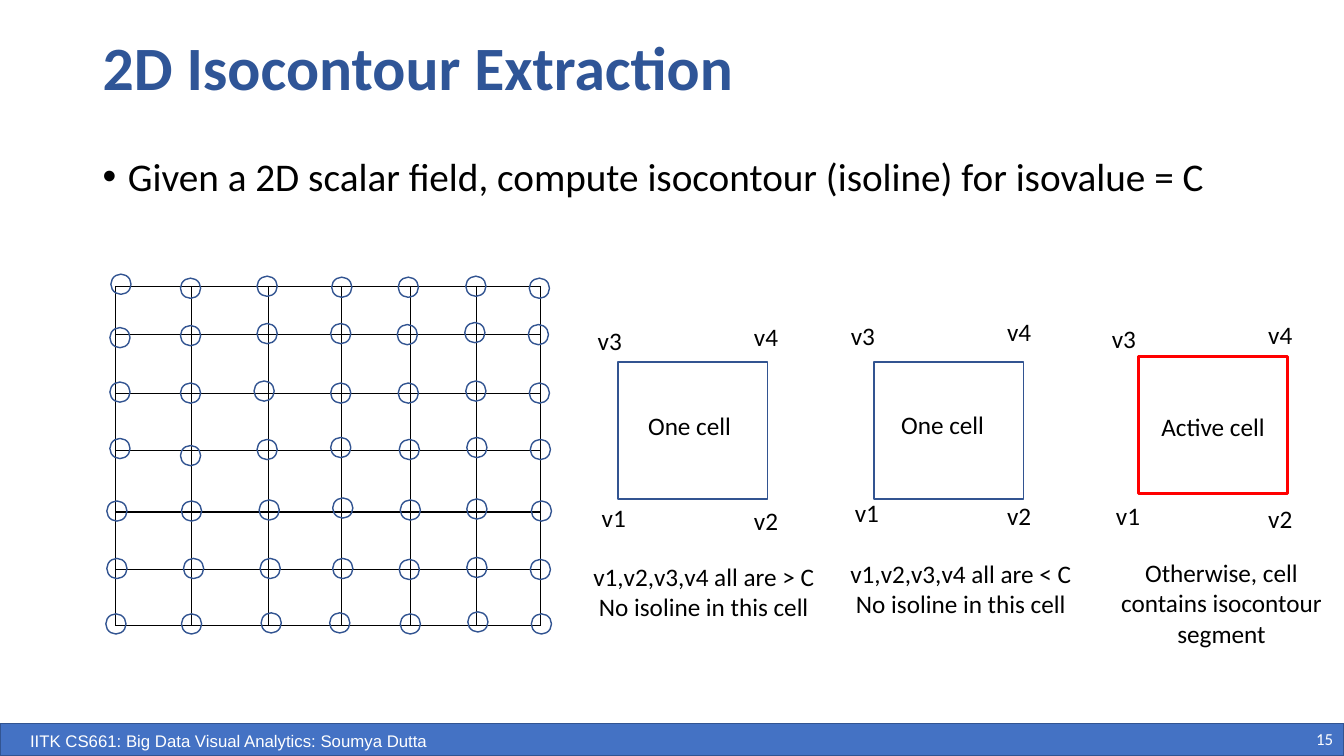
from lxml import etree
from pptx import Presentation
from pptx.dml.color import RGBColor
from pptx.enum.shapes import MSO_SHAPE
from pptx.enum.text import MSO_ANCHOR, MSO_AUTO_SIZE, PP_ALIGN
from pptx.oxml.ns import qn
from pptx.util import Inches, Pt

OVAL, RECTANGLE = MSO_SHAPE.OVAL, MSO_SHAPE.RECTANGLE
LEFT, CENTER, RIGHT = PP_ALIGN.LEFT, PP_ALIGN.CENTER, PP_ALIGN.RIGHT
TOP, MIDDLE = MSO_ANCHOR.TOP, MSO_ANCHOR.MIDDLE
FIT_SHAPE, FIT_NONE = MSO_AUTO_SIZE.SHAPE_TO_FIT_TEXT, MSO_AUTO_SIZE.NONE

COLORS = {
    "black": "000000",
    "white": "FFFFFF",
    "title": "2F5597",
    "bar": "4472C4",
    "outline": "325491",
    "active": "FF0000",
}

GRID_COLUMNS = [0.75, 0.76, 0.73, 0.68, 0.66, 0.63]
GRID_ROWS = [0.48, 0.58, 0.57, 0.61, 0.57, 0.56]
NODE_SIZE = 0.2
NODE_ROWS = [
    [(1.1, 2.72), (1.79, 2.76), (2.55, 2.74), (3.29, 2.75), (3.95, 2.75), (4.62, 2.74), (5.25, 2.76)],
    [(1.09, 3.25), (1.79, 3.23), (2.55, 3.21), (3.28, 3.21), (3.94, 3.22), (4.61, 3.2), (5.24, 3.22)],
    [(1.09, 3.79), (1.79, 3.8), (2.52, 3.78), (3.28, 3.8), (3.95, 3.8), (4.62, 3.78), (5.25, 3.8)],
    [(1.09, 4.35), (1.79, 4.42), (2.55, 4.36), (3.28, 4.34), (3.96, 4.36), (4.63, 4.34), (5.26, 4.36)],
    [(1.06, 4.97), (1.8, 4.97), (2.57, 4.96), (3.3, 4.94), (3.97, 4.96), (4.63, 4.95), (5.27, 4.97)],
    [(1.06, 5.54), (1.82, 5.54), (2.58, 5.54), (3.3, 5.54), (3.96, 5.55), (4.63, 5.53), (5.26, 5.55)],
    [(1.05, 6.09), (1.8, 6.09), (2.59, 6.08), (3.27, 6.08), (3.97, 6.09), (4.64, 6.07), (5.27, 6.09)],
]

VERTEX_LABELS = {"v1": (5.87, 4.93), "v2": (7.38, 4.96), "v3": (5.83, 3.18), "v4": (7.38, 3.14)}
CELL_CASES = [
    {
        "square": (6.13, 3.59), "color": "outline", "width": 1, "label_shift": (0, 0),
        "name": "One cell", "name_box": (6.33, 4.02, 1.03, 0.4),
        "note": "v1,v2,v3,v4 all are > C\nNo isoline in this cell",
        "note_box": (5.77, 5.52, 2.42, 0.71), "wrap": False,
    },
    {
        "square": (8.67, 3.59), "color": "outline", "width": 1, "label_shift": (2.51, -0.05),
        "name": "One cell", "name_box": (8.84, 4.01, 1.03, 0.4),
        "note": "v1,v2,v3,v4 all are < C\nNo isoline in this cell",
        "note_box": (8.32, 5.49, 2.42, 0.71), "wrap": False,
    },
    {
        "square": (11.29, 3.54), "color": "active", "width": 2, "label_shift": (5.1, -0.02),
        "name": "Active cell", "name_box": (11.42, 4.03, 1.24, 0.4),
        "note": "Otherwise, cell contains isocontour\nsegment",
        "note_box": (10.89, 5.48, 2.45, 1.01), "wrap": True,
    },
]


class SlideBuilder:
    """Draw styled elements on one slide."""

    def __init__(self, slide, font="Calibri"):
        self.slide = slide
        self.font = font

    def color(self, name):
        return RGBColor.from_string(COLORS[name])

    def shape(self, kind, box, line, width=1, fill=None):
        shape = self.slide.shapes.add_shape(kind, *map(Inches, box))
        shape.shadow.inherit = False
        if fill:
            shape.fill.solid()
            shape.fill.fore_color.rgb = self.color(fill)
        else:
            shape.fill.background()
        shape.line.color.rgb = self.color(line)
        shape.line.width = Pt(width)

    def text(self, box, text, size=18, color="black", align=LEFT, anchor=TOP,
             wrap=True, fit=FIT_NONE, font=None, bold=False, spacing=1.0, bullet=False):
        shape = self.slide.shapes.add_textbox(*map(Inches, box))
        frame = shape.text_frame
        frame.text = text
        frame.word_wrap = wrap
        frame.auto_size = fit
        frame.vertical_anchor = anchor
        for paragraph in frame.paragraphs:
            paragraph.alignment = align
            paragraph.line_spacing = spacing
            if bullet:
                self.bullet(paragraph)
            for run in paragraph.runs:
                run.font.name = font or self.font
                run.font.size = Pt(size)
                run.font.bold = bold
                run.font.color.rgb = self.color(color)

    def bullet(self, paragraph):
        properties = paragraph._p.get_or_add_pPr()
        properties.set("marL", str(Inches(0.25)))
        properties.set("indent", str(-Inches(0.25)))
        etree.SubElement(properties, qn("a:buFont"), typeface="Arial")
        etree.SubElement(properties, qn("a:buChar"), char="•")

    def border(self, cell, side, width):
        properties = cell._tc.get_or_add_tcPr()
        line = etree.SubElement(properties, qn(f"a:ln{side}"), w=str(Pt(width)))
        fill = etree.SubElement(line, qn("a:solidFill"))
        etree.SubElement(fill, qn("a:srgbClr"), val=COLORS["black"])

    def grid(self, left, top, columns, rows):
        frame = self.slide.shapes.add_table(
            len(rows), len(columns), Inches(left), Inches(top),
            Inches(sum(columns)), Inches(sum(rows)))
        table = frame.table
        table.first_row = False
        table.horz_banding = False
        for column, width in zip(table.columns, columns):
            column.width = Inches(width)
        for row, height in zip(table.rows, rows):
            row.height = Inches(height)
        for i in range(len(rows)):
            for j in range(len(columns)):
                cell = table.cell(i, j)
                outer = {"L": j == 0, "R": j == len(columns) - 1,
                         "T": i == 0, "B": i == len(rows) - 1}
                for side, is_outer in outer.items():
                    self.border(cell, side, 0.75 if is_outer else 1)
                cell.fill.background()

    def cell_case(self, case):
        self.shape(RECTANGLE, (*case["square"], 1.48, 1.36), case["color"], case["width"])
        shift_x, shift_y = case["label_shift"]
        for label, (x, y) in VERTEX_LABELS.items():
            self.text((x + shift_x, y + shift_y, 0.44, 0.4), label, wrap=False, fit=FIT_SHAPE)
        self.text(case["name_box"], case["name"], wrap=False, fit=FIT_SHAPE)
        self.text(case["note_box"], case["note"], align=CENTER, wrap=case["wrap"], fit=FIT_SHAPE)


def main():
    presentation = Presentation()
    presentation.slide_width = Inches(13.33)
    presentation.slide_height = Inches(7.5)
    builder = SlideBuilder(presentation.slides.add_slide(presentation.slide_layouts[6]))

    builder.shape(RECTANGLE, (0, 7.18, 13.33, 0.32), "outline", fill="bar")
    builder.text((12.42, 7.17, 0.9, 0.32), "15", 12, "white", RIGHT, MIDDLE)
    builder.text((0, 7.2, 4.54, 0.3), "IITK CS661: Big Data Visual Analytics: Soumya Dutta",
                 12, "white", CENTER, fit=FIT_SHAPE, font="Arial")
    builder.text((0.92, 0.24, 11.5, 0.91), "2D Isocontour Extraction", 44, "title",
                 anchor=MIDDLE, bold=True, spacing=0.9)
    builder.text((0.92, 1.51, 12.05, 0.7),
                 "Given a 2D scalar field, compute isocontour (isoline) for isovalue = C",
                 28, spacing=0.9, bullet=True)

    builder.grid(1.15, 2.84, GRID_COLUMNS, GRID_ROWS)
    for node_row in NODE_ROWS:
        for x, y in node_row:
            builder.shape(OVAL, (x, y, NODE_SIZE, NODE_SIZE), "outline")
    for case in CELL_CASES:
        builder.cell_case(case)

    presentation.save("out.pptx")


if __name__ == "__main__":
    main()
